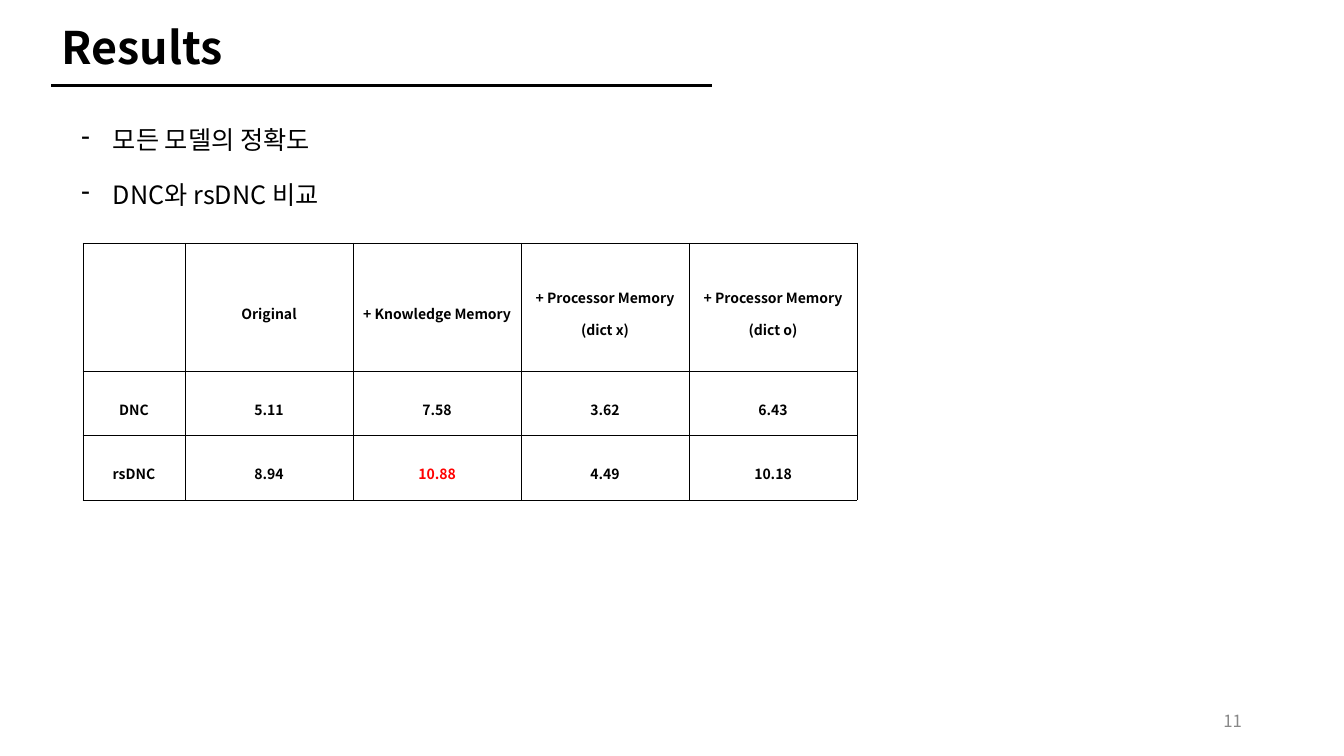
"""Build the results slide with its accuracy table."""
import pptx
import pptx.dml.color
import pptx.enum.shapes
import pptx.enum.text
import pptx.oxml.ns
import pptx.util
from lxml import etree

Pt = pptx.util.Pt
RGBColor = pptx.dml.color.RGBColor
ALIGN = pptx.enum.text.PP_ALIGN
ANCHOR = pptx.enum.text.MSO_ANCHOR
qn = pptx.oxml.ns.qn

BLACK = RGBColor(0x00, 0x00, 0x00)
GRAY = RGBColor(0x88, 0x88, 0x88)
RED = RGBColor(0xFF, 0x00, 0x00)
FONT = "Noto Sans CJK KR"

ROWS = [
    ["", "Original", "+ Knowledge Memory", "+ Processor Memory (dict x)",
     "+ Processor Memory (dict o)"],
    ["DNC", "5.11", "7.58", "3.62", "6.43"],
    ["rsDNC", "8.94", "10.88", "4.49", "10.18"],
]
BEST = "10.88"


def write(para, text, size=18, color=BLACK, bold=False, align=ALIGN.LEFT,
          space=0.9, before=0, dash=False):
    """Put formatted text into a paragraph."""
    para.alignment = align
    para.line_spacing = space
    para.space_before = Pt(before)
    if dash:
        props = para._p.get_or_add_pPr()
        props.set("marL", str(Pt(22.5)))
        props.set("indent", str(-Pt(22.5)))
        etree.SubElement(props, qn("a:buChar")).set("char", "-")
    run = para.add_run()
    run.text = text
    font = run.font
    font.name, font.size, font.bold = FONT, Pt(size), bold
    font.color.rgb = color
    etree.SubElement(run._r.rPr, qn("a:ea")).set("typeface", FONT)


class Page:
    """Hold the slide and its drawing style."""

    def __init__(self, slide, edge=0.28):
        """Keep the slide and the width of cell borders."""
        self.shapes = slide.shapes
        self.edge = edge

    def rule(self, left, top, right, width):
        """Draw a level line."""
        line = self.shapes.add_connector(
            pptx.enum.shapes.MSO_CONNECTOR.STRAIGHT,
            Pt(left), Pt(top), Pt(right), Pt(top))
        line.line.color.rgb = BLACK
        line.line.width = Pt(width)
        etree.SubElement(line._element.spPr, qn("a:effectLst"))

    def text(self, box, lines, anchor=ANCHOR.TOP, gap=0, **style):
        """Add a text box with one paragraph for each line."""
        frame = self.shapes.add_textbox(*map(Pt, box)).text_frame
        frame.word_wrap = True
        frame.vertical_anchor = anchor
        for i, line in enumerate(lines):
            para = frame.add_paragraph() if i else frame.paragraphs[0]
            write(para, line, before=gap if i else 0, **style)

    def border(self, cell):
        """Outline a cell on all four sides."""
        props = cell._tc.get_or_add_tcPr()
        for i, side in enumerate(("lnL", "lnR", "lnT", "lnB")):
            line = etree.Element(qn("a:" + side), w=str(Pt(self.edge)))
            fill = etree.SubElement(line, qn("a:solidFill"))
            etree.SubElement(fill, qn("a:srgbClr")).set("val", str(BLACK))
            props.insert(i, line)

    def table(self, left, top, widths, heights, rows):
        """Add a bordered table of centred bold text."""
        table = self.shapes.add_table(
            len(rows), len(widths), Pt(left), Pt(top),
            Pt(sum(widths)), Pt(sum(heights))).table
        table.first_row = table.horz_banding = False
        for col, width in zip(table.columns, widths):
            col.width = Pt(width)
        for row, height, texts in zip(table.rows, heights, rows):
            row.height = Pt(height)
            for cell, text in zip(row.cells, texts):
                cell.fill.background()
                cell.margin_left = cell.margin_right = Pt(5)
                cell.margin_top = cell.margin_bottom = Pt(1.4)
                cell.vertical_anchor = ANCHOR.MIDDLE
                self.border(cell)
                if text:
                    write(cell.text_frame.paragraphs[0], text, size=10,
                          color=RED if text == BEST else BLACK, bold=True,
                          align=ALIGN.CENTER, space=1.6)


def main():
    """Build and save the deck."""
    deck = pptx.Presentation()
    deck.slide_width, deck.slide_height = Pt(960), Pt(540)
    page = Page(deck.slides.add_slide(deck.slide_layouts[6]))
    page.rule(36.7, 61.2, 508.3, 2.25)
    page.text((36.7, 15.1, 611.3, 46.1), ["Results"], size=32, bold=True)
    page.text((678.2, 500.4, 216, 28.8), ["11"], ANCHOR.MIDDLE, size=12,
              color=GRAY, align=ALIGN.RIGHT, space=1.0)
    page.text((51.1, 87.8, 789.1, 94.3),
              ["모든 모델의 정확도", "DNC와 rsDNC 비교"], gap=19.4, dash=True)
    page.table(59.2, 173.6, [73] + [120] * 4, [91.6, 46, 46], ROWS)
    deck.save("out.pptx")


if __name__ == "__main__":
    main()
